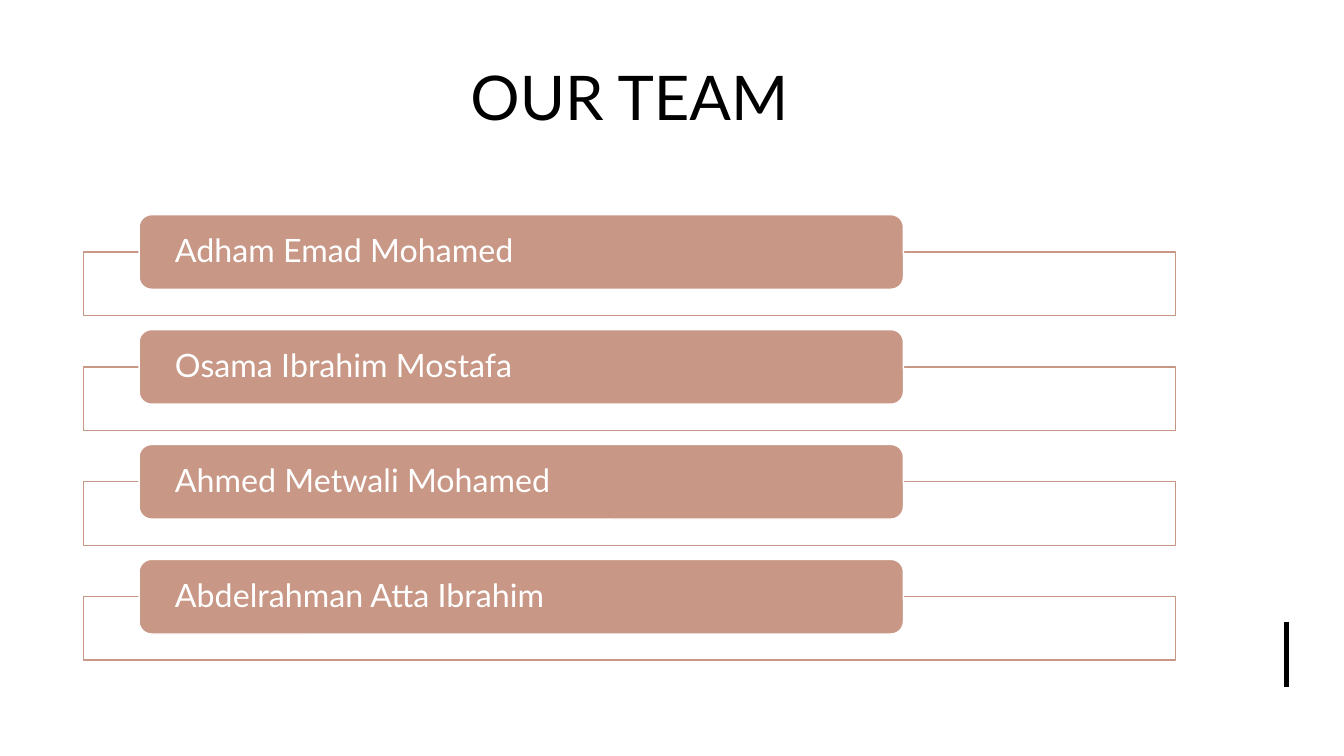
from dataclasses import dataclass

from lxml import etree
from pptx import Presentation
from pptx.dml.color import RGBColor
from pptx.enum.shapes import MSO_CONNECTOR, MSO_SHAPE
from pptx.enum.text import MSO_ANCHOR, PP_ALIGN
from pptx.oxml.ns import qn
from pptx.util import Inches, Pt

RECTANGLE = MSO_SHAPE.RECTANGLE
ROUNDED = MSO_SHAPE.ROUNDED_RECTANGLE
STRAIGHT = MSO_CONNECTOR.STRAIGHT
MIDDLE = MSO_ANCHOR.MIDDLE
CENTER = PP_ALIGN.CENTER
LEFT = PP_ALIGN.LEFT
TITLE_ONLY = 5


@dataclass(frozen=True)
class Theme:
    """Colours, font and type sizes of the slide."""
    accent: RGBColor = RGBColor(0xC8, 0x97, 0x85)
    light: RGBColor = RGBColor(0xFF, 0xFF, 0xFF)
    dark: RGBColor = RGBColor(0, 0, 0)
    font: str = "Lato"
    title_size: int = 44
    name_size: int = 23


THEME = Theme()
MEMBERS = (
    "Adham Emad Mohamed",
    "Osama Ibrahim Mostafa",
    "Ahmed Metwali Mohamed",
    "Abdelrahman Atta Ibrahim",
)


def write_text(shape, text, size, color, alignment):
    """Set one vertically centred paragraph and return it."""
    frame = shape.text_frame
    frame.text = text
    frame.word_wrap = True
    frame.vertical_anchor = MIDDLE
    paragraph = frame.paragraphs[0]
    paragraph.alignment = alignment
    font = paragraph.runs[0].font
    font.name, font.size, font.color.rgb = THEME.font, Pt(size), color
    return paragraph


def add_box(slide, kind, left, top, width, height, fill, line):
    """Add a filled and outlined shape without a shadow."""
    shape = slide.shapes.add_shape(
        kind, Inches(left), Inches(top), Inches(width), Inches(height))
    shape.shadow.inherit = False
    shape.fill.solid()
    shape.fill.fore_color.rgb = fill
    shape.line.color.rgb = line
    shape.line.width = Pt(1)
    return shape


def add_title(slide, left, top, width, height):
    """Place and format the title placeholder."""
    title = slide.shapes.title
    title.left, title.top = Inches(left), Inches(top)
    title.width, title.height = Inches(width), Inches(height)
    write_text(title, "OUR TEAM", THEME.title_size, THEME.dark, CENTER)


def add_member(slide, name, left, top, width):
    """Draw one outlined row with a name label over its top edge."""
    add_box(slide, RECTANGLE, left, top + 0.37, width, 0.63,
            THEME.light, THEME.accent)
    label = add_box(slide, ROUNDED, left + 0.55, top, width * 0.7, 0.74,
                    THEME.accent, THEME.light)
    frame = label.text_frame
    frame.margin_left = frame.margin_right = Inches(0.32)
    frame.margin_top = frame.margin_bottom = 0
    paragraph = write_text(label, name, THEME.name_size, THEME.light, LEFT)
    paragraph.line_spacing = 0.9


def add_team(slide, left, top, width, pitch):
    """Stack the member rows at an equal pitch."""
    for index, name in enumerate(MEMBERS):
        add_member(slide, name, left, top + index * pitch, width)


def add_accent_line(slide, left, top, height):
    """Draw the vertical accent line."""
    line = slide.shapes.add_connector(
        STRAIGHT, Inches(left), Inches(top), Inches(left), Inches(top + height))
    line.line.color.rgb = THEME.dark
    line.line.width = Pt(3)
    etree.SubElement(line._element.spPr, qn("a:effectLst"))


def main():
    """Build and save the team slide."""
    presentation = Presentation()
    presentation.slide_width = Inches(13.33)
    presentation.slide_height = Inches(7.5)
    slide = presentation.slides.add_slide(presentation.slide_layouts[TITLE_ONLY])
    slide.background.fill.solid()
    slide.background.fill.fore_color.rgb = THEME.light
    add_title(slide, 0.83, 0.32, 10.83, 1.27)
    add_accent_line(slide, 12.76, 6.17, 0.65)
    add_team(slide, 0.83, 2.13, 10.83, 1.14)
    presentation.save("out.pptx")


if __name__ == "__main__":
    main()
